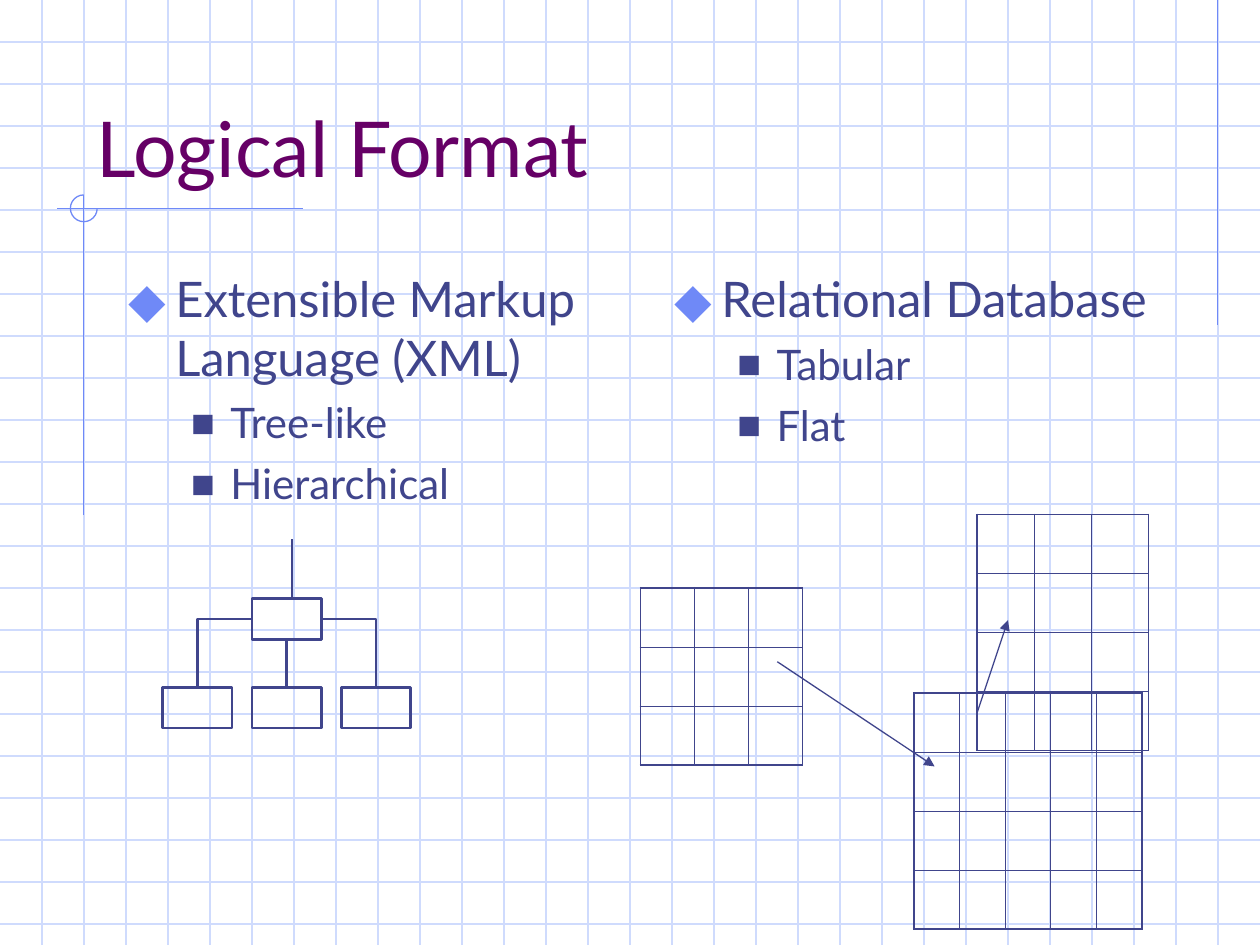
from lxml import etree
from pptx import Presentation
from pptx.dml.color import RGBColor
from pptx.enum.shapes import MSO_CONNECTOR, MSO_SHAPE
from pptx.enum.text import MSO_ANCHOR, MSO_AUTO_SIZE, PP_ALIGN
from pptx.oxml.ns import qn
from pptx.util import Cm, Pt

STRAIGHT, ELBOW = MSO_CONNECTOR.STRAIGHT, MSO_CONNECTOR.ELBOW
PROCESS, ARC = MSO_SHAPE.FLOWCHART_PROCESS, MSO_SHAPE.ARC
BOTTOM, TOP, LEFT = MSO_ANCHOR.BOTTOM, MSO_ANCHOR.TOP, PP_ALIGN.LEFT
NO_FIT = MSO_AUTO_SIZE.NONE

PALE = RGBColor(0xCF, 0xDB, 0xFD)
BLUE = RGBColor(0x6F, 0x89, 0xF7)
NAVY = RGBColor(0x40, 0x45, 0x8C)
PLUM = RGBColor(0x66, 0x00, 0x66)

WIDE, HIGH = 25.4, 19.05
STEP = 2.54 / 3

# Per list level: bullet, its colour, its percent, left, hang, text size, space
LEVELS = [
    ("⬥", BLUE, 110, 0.95, 0.95, 28, 7),
    ("■", NAVY, 60, 2.06, 0.79, 24, 6),
]


def add(parent, tag, **attrs):
    return etree.SubElement(parent, qn(tag), attrs)


class Deck:
    def __init__(self, font):
        self.font = font
        self.prs = Presentation()
        self.prs.slide_width, self.prs.slide_height = Cm(WIDE), Cm(HIGH)
        self.slide = self.prs.slides.add_slide(self.prs.slide_layouts[3])
        self.shapes = self.slide.shapes

    def line(self, x1, y1, x2, y2, color, width=0.75, kind=STRAIGHT, arrow=False):
        link = self.shapes.add_connector(kind, Cm(x1), Cm(y1), Cm(x2), Cm(y2))
        link.line.color.rgb = color
        link.line.width = Pt(width)
        if arrow:
            add(link.line._get_or_add_ln(), "a:tailEnd", type="triangle")
        add(link.element.spPr, "a:effectLst")
        return link

    def join(self, start, side, end, kind=STRAIGHT):
        """Link a side of one box to the top of another."""
        link = self.line(0, 0, 1, 1, NAVY, 1.5, kind)
        link.begin_connect(start, side)
        link.end_connect(end, 0)
        if kind == ELBOW:
            link.element.spPr.find(qn("a:prstGeom")).set("prst", "bentConnector2")

    def shape(self, kind, x, y, w, h, color, width):
        item = self.shapes.add_shape(kind, Cm(x), Cm(y), Cm(w), Cm(h))
        item.shadow.inherit = False
        item.fill.background()
        item.line.color.rgb = color
        item.line.width = Pt(width)
        return item

    def frame(self, holder, x, y, w, h, anchor):
        """Place a placeholder in front of what is drawn so far."""
        holder.left, holder.top = Cm(x), Cm(y)
        holder.width, holder.height = Cm(w), Cm(h)
        holder.element.getparent().append(holder.element)
        text = holder.text_frame
        text.auto_size, text.word_wrap = NO_FIT, True
        text.vertical_anchor = anchor
        return text

    def run(self, para, words, size, color):
        run = para.add_run()
        run.text = words
        run.font.name, run.font.size = self.font, Pt(size)
        run.font.color.rgb = color

    def title(self, words, x, y, w, h):
        para = self.frame(self.shapes.title, x, y, w, h, BOTTOM).paragraphs[0]
        para.alignment = LEFT
        self.run(para, words, 44, PLUM)

    def body(self, idx, items, x, y, w, h):
        text = self.frame(self.slide.placeholders[idx], x, y, w, h, TOP)
        for n, (level, words) in enumerate(items):
            para = text.add_paragraph() if n else text.paragraphs[0]
            mark, color, part, left, hang, size, space = LEVELS[level]
            para.level = level
            props = para._p.get_or_add_pPr()
            props.set("marL", str(Cm(left)))
            props.set("indent", str(-Cm(hang)))
            add(add(props, "a:buClr"), "a:srgbClr", val=str(color))
            add(props, "a:buSzPct", val=str(part * 1000))
            add(props, "a:buFont", typeface=self.font)
            add(props, "a:buChar", char=mark)
            para.space_before = Pt(space if n else 0)
            self.run(para, words, size, NAVY)

    def table(self, rows, cols, x, y, w, high=1.19):
        """Draw an empty grid with a heavier outer edge."""
        grid = self.shapes.add_table(
            rows, cols, Cm(x), Cm(y), Cm(w), Cm(rows * high)).table
        grid.first_row = grid.horz_banding = False
        for r in range(rows):
            for c in range(cols):
                cell = grid.cell(r, c)
                props = cell._tc.get_or_add_tcPr()
                edges = {"L": c == 0, "R": c == cols - 1,
                         "T": r == 0, "B": r == rows - 1}
                for side, outer in edges.items():
                    width = Pt(1.08 if outer else 0.45)
                    edge = add(props, "a:ln" + side, w=str(width))
                    add(add(edge, "a:solidFill"), "a:srgbClr", val=str(NAVY))
                cell.fill.background()


def main():
    deck = Deck("Lato")

    for n in range(1, 23):
        deck.line(0, n * STEP, WIDE, n * STEP, PALE)
    for n in range(1, 30):
        deck.line(n * STEP, 0, n * STEP, HIGH, PALE)
    deck.line(24.55, 0, 24.55, 6.56, BLUE)
    deck.line(6.1, 4.21, 1.15, 4.21, BLUE)
    deck.line(1.69, 3.93, 1.69, 10.39, BLUE)
    ring = deck.shape(ARC, 1.42, 3.93, 0.54, 0.54, BLUE, 0.75)
    ring.adjustments[0], ring.adjustments[1] = 0, 162

    deck.title("Logical Format", 1.69, 0.85, 21.59, 3.17)
    deck.body(1, [(0, "Extensible Markup Language (XML)"),
                  (1, "Tree-like"), (1, "Hierarchical")], 2.33, 5.29, 10.58, 11.43)
    deck.body(2, [(0, "Relational Database"),
                  (1, "Tabular"), (1, "Flat")], 13.34, 5.29, 10.58, 11.43)

    deck.table(4, 5, 18.42, 13.97, 4.6)
    leaves = [deck.shape(PROCESS, 3.28 + n * 1.8, 13.86, 1.4, 0.82, NAVY, 1.5)
              for n in range(3)]
    root = deck.shape(PROCESS, 5.08, 12.07, 1.4, 0.82, NAVY, 1.5)
    deck.join(root, 1, leaves[0], ELBOW)
    deck.join(root, 3, leaves[2], ELBOW)
    deck.join(root, 2, leaves[1])
    deck.line(5.89, 12.07, 5.89, 10.87, NAVY, 1.5)

    deck.table(3, 3, 12.91, 11.85, 3.27)
    deck.table(4, 3, 19.69, 10.37, 3.46)
    deck.line(15.67, 13.34, 18.84, 15.45, NAVY, arrow=True)
    deck.line(19.69, 14.39, 20.32, 12.5, NAVY, arrow=True)

    deck.prs.save("out.pptx")


if __name__ == "__main__":
    main()
